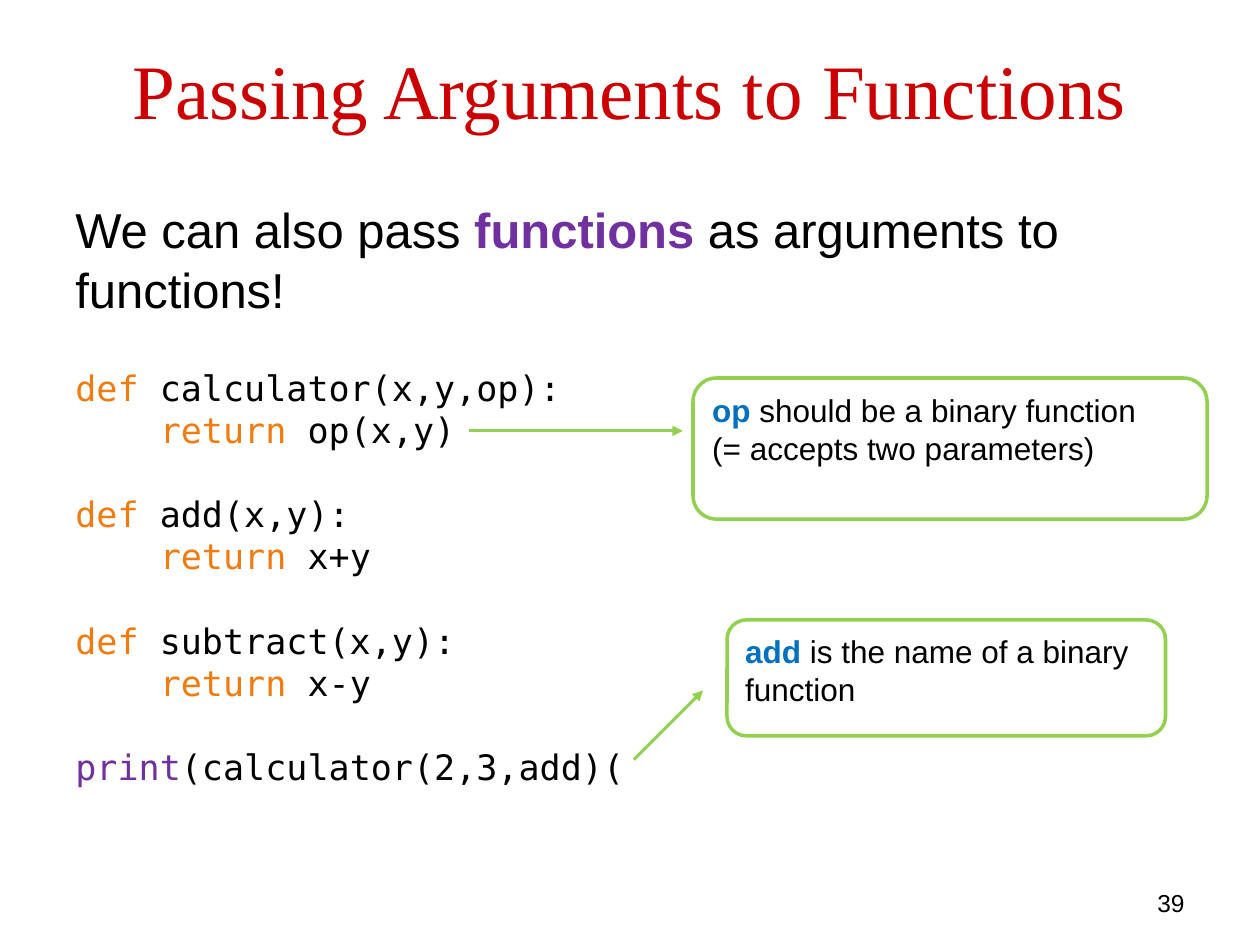
from pptx import Presentation
from pptx.dml.color import RGBColor
from pptx.enum.shapes import MSO_CONNECTOR as Connector, MSO_SHAPE as Shape
from pptx.enum.text import MSO_ANCHOR as Anchor, PP_ALIGN as Align
from pptx.oxml.ns import qn
from pptx.util import Inches, Pt
from lxml.etree import SubElement

COLORS = {
    "title": "CC0000",
    "text": "000000",
    "keyword": "F17B0F",
    "accent": "7030A0",
    "name": "0070C0",
    "callout": "92D050",
}
SANS, SERIF, MONO = "Arial", "Times New Roman", "DejaVu Sans Mono"
CODE_INDENT = Inches(0.67)

# Each block of code is a list of lines; each line is (indented, runs).
CODE_BLOCKS = [
    [(False, [("def", "keyword"), (" calculator(x,y,op):", "text")]),
     (True, [("return", "keyword"), (" op(x,y)", "text")])],
    [(False, [("def", "keyword"), (" add(x,y):", "text")]),
     (True, [("return", "keyword"), (" x+y", "text")])],
    [(False, [("def", "keyword"), (" subtract(x,y):", "text")]),
     (True, [("return", "keyword"), (" x-y", "text")])],
    [(False, [("print", "accent"), ("(calculator(2,3,add)(", "text")])],
]


def rgb(name):
    return RGBColor.from_string(COLORS[name])


class SlideBuilder:
    """Holds the deck's style and the slide being built."""

    def __init__(self, deck):
        self.slide = deck.slides.add_slide(deck.slide_layouts[6])

    def add_run(self, para, text, color="text", size=20, font=SANS, bold=False):
        span = para.add_run()
        span.text = text
        span.font.name = font
        span.font.size = Pt(size)
        span.font.bold = bold
        span.font.color.rgb = rgb(color)

    def text_box(self, left, top, width, height, anchor=Anchor.TOP):
        box = self.slide.shapes.add_textbox(
            Inches(left), Inches(top), Inches(width), Inches(height))
        frame = box.text_frame
        frame.word_wrap = True
        frame.vertical_anchor = anchor
        return frame

    def label(self, place, text, color, size, font, align, anchor=Anchor.TOP):
        para = self.text_box(*place, anchor).paragraphs[0]
        para.alignment = align
        self.add_run(para, text, color, size, font)

    def body(self, place, intro, blocks):
        frame = self.text_box(*place)
        para = frame.paragraphs[0]
        para.line_spacing = Pt(34)
        for text, color, bold in intro:
            self.add_run(para, text, color, 28, bold=bold)
        for block_number, block in enumerate(blocks):
            for line_number, (indented, runs) in enumerate(block):
                para = frame.add_paragraph()
                para.line_spacing = Pt(24)
                if line_number == 0:
                    para.space_before = Pt(24 if block_number else 28)
                if indented:
                    properties = para._p.get_or_add_pPr()
                    properties.set("marL", str(CODE_INDENT))
                    properties.set("indent", "0")
                for text, color in runs:
                    self.add_run(para, text, color, font=MONO)

    def callout(self, place, name, lines):
        box = self.slide.shapes.add_shape(
            Shape.ROUNDED_RECTANGLE, *(Inches(value) for value in place))
        box.shadow.inherit = False
        box.fill.background()
        box.line.color.rgb = rgb("callout")
        box.line.width = Pt(2)
        frame = box.text_frame
        frame.word_wrap = True
        frame.vertical_anchor = Anchor.TOP
        para = frame.paragraphs[0]
        para.alignment = Align.LEFT
        para.line_spacing = Pt(21.7)
        self.add_run(para, name, "name", 18, bold=True)
        for number, line in enumerate(lines):
            if number:
                para.add_line_break()
            self.add_run(para, line, size=18)

    def arrow(self, start, end):
        line = self.slide.shapes.add_connector(
            Connector.STRAIGHT, *(Inches(value) for value in start + end))
        line.line.color.rgb = rgb("callout")
        line.line.width = Pt(1.75)
        SubElement(line.line._get_or_add_ln(), qn("a:tailEnd"), type="triangle")
        SubElement(line._element.spPr, qn("a:effectLst"))


def main():
    deck = Presentation()
    deck.slide_width, deck.slide_height = Inches(10), Inches(7.5)
    page = SlideBuilder(deck)
    page.label((7.17, 7, 2.33, 0.25), "39", "text", 14, SANS, Align.RIGHT)
    page.label((0.5, 0.08, 9, 1.25), "Passing Arguments to Functions",
               "title", 44, SERIF, Align.CENTER, Anchor.MIDDLE)
    page.body((0.5, 1.53, 9, 5.17),
              [("We can also pass ", "text", False),
               ("functions", "accent", True),
               (" as arguments to functions!", "text", False)],
              CODE_BLOCKS)
    # Both arrows start just right of the code line they explain.
    page.arrow((3.72, 3.42), (5.42, 3.42))
    page.callout((5.5, 3, 4.08, 1.12), "op",
                 [" should be a binary function", "(= accepts two parameters)"])
    page.arrow((5.03, 6.03), (5.58, 5.48))
    page.callout((5.77, 4.92, 3.48, 0.92), "add",
                 [" is the name of a binary function"])
    deck.save("out.pptx")


if __name__ == "__main__":
    main()
